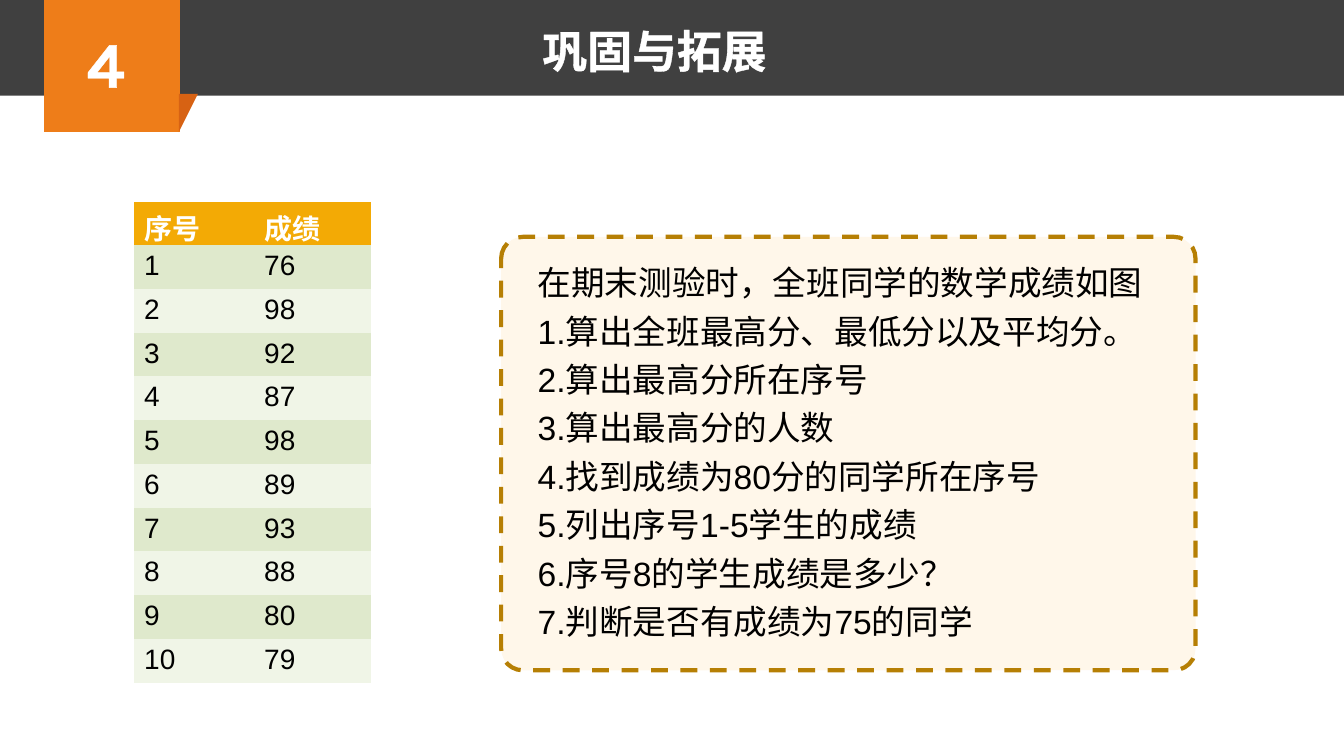
"""Builds the practice slide: a score table beside a dashed box of exercises."""
from lxml import etree
from pptx import Presentation
from pptx.dml.color import RGBColor
from pptx.enum import dml, shapes, text
from pptx.oxml import ns
from pptx.util import Pt


def rgb(value):
    return RGBColor.from_string(value)


def write(p, words, outline=None, **fmt):
    r = p.add_run()
    r.text = words
    r.font.color.rgb = rgb(fmt.pop("color"))
    for name, value in fmt.items():
        setattr(r.font, name, value)
    if outline:
        ln = etree.Element(ns.qn("a:ln"), w=str(Pt(1.45)))
        fill = etree.SubElement(ln, ns.qn("a:solidFill"))
        etree.SubElement(fill, ns.qn("a:srgbClr"), val=outline)
        r.font._element.insert(0, ln)


prs = Presentation()
prs.slide_width, prs.slide_height = Pt(960), Pt(540)
s = prs.slides.add_slide(prs.slide_layouts[5])

blocks = [
    ("RECTANGLE", 0, 0, 960, 68.4, "404040"),
    ("RECTANGLE", 31.5, 0, 97, 94.3, "EE7D19"),
    ("RIGHT_TRIANGLE", 127.8, 67, 13.6, 27.3, "D76213"),
    ("ROUNDED_RECTANGLE", 358, 169.2, 496, 309.6, "FFF7EA"),
]
for kind, left, top, width, height, color in blocks:
    sp = s.shapes.add_shape(shapes.MSO_SHAPE[kind], Pt(left), Pt(top), Pt(width), Pt(height))
    sp.shadow.inherit = False
    sp.fill.solid()
    sp.fill.fore_color.rgb = rgb(color)
    sp.line.fill.background()
    if kind == "RIGHT_TRIANGLE":
        sp.rotation = 180
        sp.element.spPr.find(ns.qn("a:xfrm")).set("flipH", "1")
    elif kind == "ROUNDED_RECTANGLE":
        sp.adjustments[0] = 0.05
        sp.line.color.rgb = rgb("B67F04")
        sp.line.width = Pt(3)
        sp.line.dash_style = dml.MSO_LINE.DASH

title = s.shapes.title
title.left, title.top, title.width, title.height = Pt(379.4), Pt(13), Pt(176.4), Pt(46)
title.element.getparent().append(title.element)
number = s.shapes.add_textbox(Pt(55.4), Pt(13), Pt(40.3), Pt(63.4))
for sp, words, font, size in [(title, "巩固与拓展", "Arial", 32), (number, "4", "Karla", 46)]:
    tf = sp.text_frame
    tf.word_wrap = False
    tf.auto_size = text.MSO_AUTO_SIZE.NONE
    tf.vertical_anchor = text.MSO_ANCHOR.TOP
    p = tf.paragraphs[0]
    p.alignment = text.PP_ALIGN.CENTER
    p.line_spacing = 1.0
    write(p, words, outline="FFFFFF", color="FFFFFF", name=font, size=Pt(size), bold=True)

exercises = [
    "在期末测验时，全班同学的数学成绩如图",
    "1.算出全班最高分、最低分以及平均分。",
    "2.算出最高分所在序号",
    "3.算出最高分的人数",
    "4.找到成绩为80分的同学所在序号",
    "5.列出序号1-5学生的成绩",
    "6.序号8的学生成绩是多少？",
    "7.判断是否有成绩为75的同学",
]
tf = s.shapes.add_textbox(Pt(377), Pt(178), Pt(464.4), Pt(286.6)).text_frame
tf.word_wrap = True
for i, words in enumerate(exercises):
    p = tf.add_paragraph() if i else tf.paragraphs[0]
    p.line_spacing = 1.2
    write(p, words, color="000000", name="Arial", size=Pt(24))

scores = [76, 98, 92, 87, 98, 89, 93, 88, 80, 79]
rows = [("序号", "成绩"), *enumerate(scores, 1)]
frame = s.shapes.add_table(len(rows), 2, Pt(95.8), Pt(144), Pt(169.2), Pt(343.2))
table = frame.table
table._tbl.tblPr.find(ns.qn("a:tableStyleId")).text = "{2D5ABB26-0587-4C30-8999-92F81FD0307C}"
for column, width in zip(table.columns, (85.7, 83.5)):
    column.width = Pt(width)
for i, row in enumerate(rows):
    table.rows[i].height = Pt(31.2)
    band = ("DFE9CC" if i % 2 else "F0F5E7") if i else "F3AA05"
    for j, value in enumerate(row):
        cell = table.cell(i, j)
        cell.fill.solid()
        cell.fill.fore_color.rgb = rgb(band)
        if i == 0:
            cell.margin_bottom = Pt(0)
        write(cell.text_frame.paragraphs[0], str(value), color="000000" if i else "FFFFFF",
              name="Arial", size=Pt(20), bold=i == 0)

prs.save("out.pptx")
